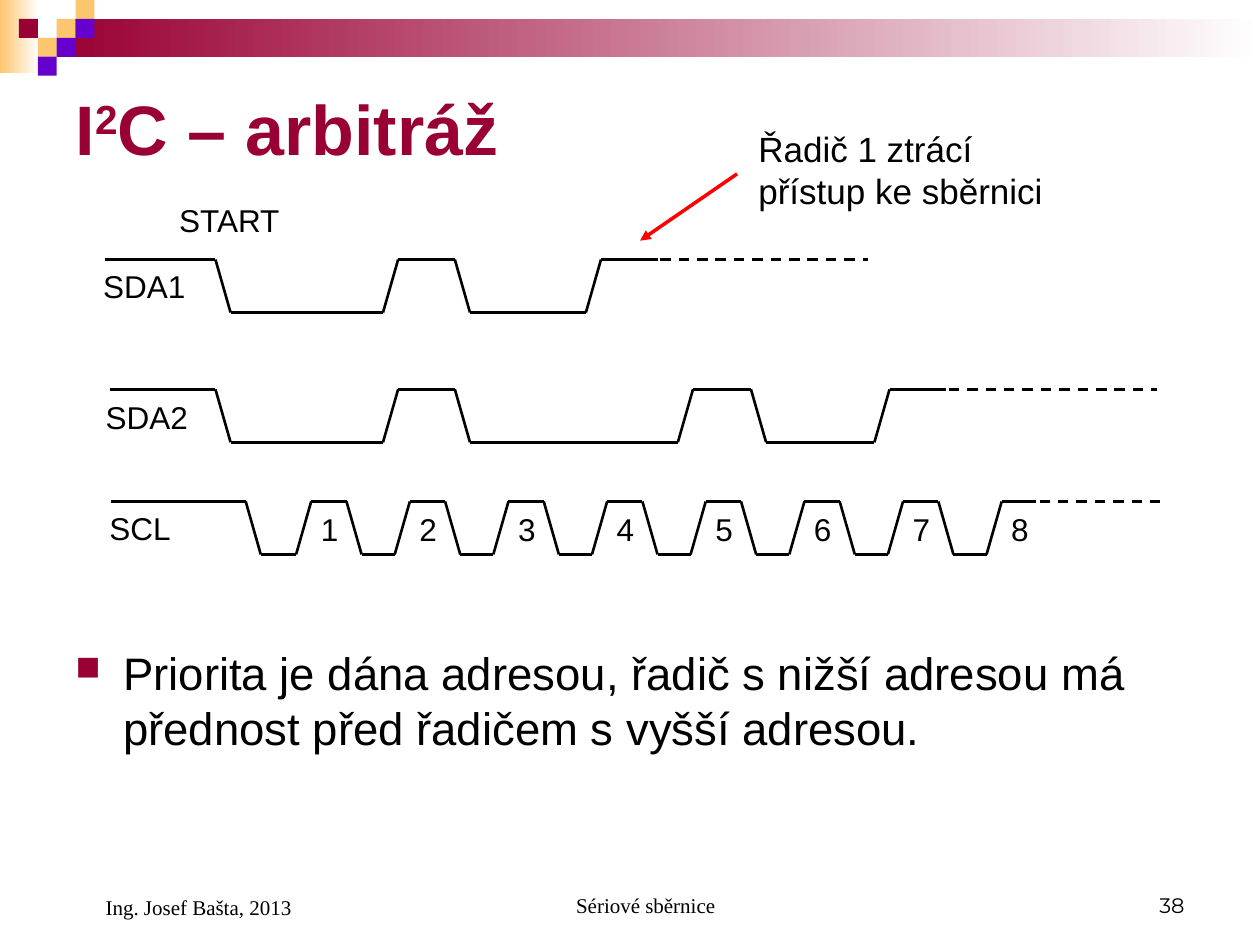
from itertools import pairwise

from lxml import etree
from pptx import Presentation
from pptx import util as u
from pptx.dml.color import RGBColor
from pptx.enum import dml, shapes, text
from pptx.oxml.ns import qn

BLACK = RGBColor(0x00, 0x00, 0x00)
WHITE = RGBColor(0xFF, 0xFF, 0xFF)
WINE = RGBColor(0x99, 0x00, 0x33)
SAND = RGBColor(0xFC, 0xC6, 0x6E)
VIOLET = RGBColor(0x66, 0x00, 0xCC)
RED = RGBColor(0xFF, 0x00, 0x00)

LEFT, CENTER, RIGHT = text.PP_ALIGN.LEFT, text.PP_ALIGN.CENTER, text.PP_ALIGN.RIGHT
TOP, MIDDLE, BOTTOM = (text.MSO_ANCHOR.TOP, text.MSO_ANCHOR.MIDDLE,
                       text.MSO_ANCHOR.BOTTOM)


class Deck:
    SLOPE = 0.12   # width of a signal edge
    SWING = 0.42   # height of a signal

    def __init__(self):
        self.prs = Presentation()
        self.prs.slide_width, self.prs.slide_height = u.Inches(10), u.Inches(7.5)
        self.s = self.prs.slides.add_slide(self.prs.slide_layouts[5])

    def font(self, item, size, color=BLACK, name="Arial", bold=False):
        style = {"size": u.Pt(size), "name": name, "bold": bold}
        for key, value in style.items():
            setattr(item.font, key, value)
        item.font.color.rgb = color

    def rect(self, x, y, w, h, color, fade=False):
        sp = self.s.shapes.add_shape(shapes.MSO_SHAPE.RECTANGLE,
                                     *map(u.Inches, (x, y, w, h)))
        sp.shadow.inherit = False
        sp.line.fill.background()
        if fade:
            sp.fill.gradient()
            sp.fill.gradient_angle = 0
            for stop, rgb in zip(sp.fill.gradient_stops, (color, WHITE)):
                stop.color.rgb = rgb
        else:
            sp.fill.solid()
            sp.fill.fore_color.rgb = color

    def title(self, x, y, w, h, runs):
        sp = self.s.shapes.title
        box = {"left": x, "top": y, "width": w, "height": h}
        for key, value in box.items():
            setattr(sp, key, u.Inches(value))
        sp.text_frame.vertical_anchor = MIDDLE
        p = sp.text_frame.paragraphs[0]
        p.alignment = LEFT
        for words, baseline in runs:
            r = p.add_run()
            r.text = words
            self.font(r, 40, WINE, bold=True)
            if baseline:
                r.font._element.set("baseline", str(baseline * 1000))

    def label(self, x, y, w, h, words, size=18, align=LEFT, anchor=TOP,
              name="Arial", margin=0.0):
        sp = self.s.shapes.add_textbox(*map(u.Inches, (x, y, w, h)))
        tf = sp.text_frame
        tf.word_wrap = True
        tf.vertical_anchor = anchor
        p = tf.paragraphs[0]
        p.text = words
        p.alignment = align
        if margin:
            p._p.get_or_add_pPr().set("marL", str(u.Inches(margin)))
        self.font(p.runs[0], size, name=name)
        for r in p.runs[1:]:
            self.font(r, size, name=name)
        return p

    def bullet(self, x, y, w, h, words):
        p = self.label(x, y, w, h, words, 26, margin=0.38)
        pPr = p._p.get_or_add_pPr()
        pPr.set("indent", str(u.Inches(-0.38)))
        color = etree.SubElement(pPr, qn("a:buClr"))
        etree.SubElement(color, qn("a:srgbClr"), val=str(WINE))
        etree.SubElement(pPr, qn("a:buSzPct"), val="75000")
        etree.SubElement(pPr, qn("a:buChar"), char="■")

    def line(self, start, end, color=BLACK, width=1.5, dashed=False, arrow=False):
        c = self.s.shapes.add_connector(shapes.MSO_CONNECTOR.STRAIGHT,
                                        *map(u.Inches, (*start, *end)))
        c.line.color.rgb = color
        c.line.width = u.Pt(width)
        if dashed:
            c.line.dash_style = dml.MSO_LINE.DASH
        if arrow:
            etree.SubElement(c.line._get_or_add_ln(), qn("a:tailEnd"), type="triangle")
        etree.SubElement(c._element.spPr, qn("a:effectLst"))

    def signal(self, y, start, edges, end, dash):
        """Draw a signal that starts high and changes level at each edge."""
        levels = (y, y + self.SWING)
        points = [(start, y)]
        for i, x in enumerate(edges):
            points += [(x, levels[i % 2]), (x + self.SLOPE, levels[(i + 1) % 2])]
        points.append((end, y))
        for a, b in pairwise(points):
            self.line(a, b)
        self.line((dash[0], y), (dash[1], y), dashed=True)


def main():
    d = Deck()

    # Header band and mosaic
    d.rect(0, 0, 0.31, 0.58, SAND, fade=True)
    d.rect(0.45, 0.15, 9.55, 0.3, WINE, fade=True)
    side = 0.15
    for col, row, color in ((3, 1, SAND), (4, 0, SAND), (4, 1, VIOLET), (2, 2, SAND),
                            (1, 1, WINE), (3, 2, VIOLET), (2, 3, VIOLET)):
        d.rect(col * side, row * side, side, side, color)

    # Title and body
    d.title(0.5, 0.5, 9, 1.03, (("I", 0), ("2", 30), ("C – arbitráž", 0)))
    d.bullet(0.5, 5.07, 9, 1.54, "Priorita je dána adresou, řadič s nižší adresou má "
             "přednost před řadičem s vyšší adresou.")

    # Data signals
    d.signal(2.06, 0.83, (1.71, 3.04, 3.61, 4.65), 5.22, (5.24, 6.89))
    d.signal(3.09, 0.87, (1.71, 3.04, 3.61, 5.38, 5.96, 6.94), 7.51, (7.53, 9.18))

    # Clock signal with numbered pulses
    pulses = 8
    pitch = 5.48 / (pulses - 1)
    edges = [1.95]
    for n in range(pulses):
        edges += [2.35 + n * pitch, 2.75 + n * pitch]
        d.label(2.44 + n * pitch, 4, 0.35, 0.4, str(n + 1), align=CENTER)
    d.signal(3.98, 0.88, edges[:-1], 8.22, (8.25, 9.23))

    # Signal names
    d.label(1.27, 1.55, 1.1, 0.4, "START", align=CENTER)
    d.label(0.72, 2.07, 0.87, 0.4, "SDA1")
    d.label(0.74, 3.11, 0.87, 0.4, "SDA2")
    d.label(0.77, 3.99, 0.82, 0.4, "SCL")

    # Lost arbitration callout
    d.label(5.92, 0.96, 2.8, 0.77, "Řadič 1 ztrácí\vpřístup ke sběrnici", 20)
    d.line((5.85, 1.38), (5.08, 1.91), RED, 2, arrow=True)

    # Footer
    serif = "Times New Roman"
    d.label(0.5, 6.83, 2.33, 0.52, "Ing. Josef Bašta, 2013", 12, LEFT, BOTTOM, serif, 0.24)
    d.label(3.42, 6.83, 3.17, 0.5, "Sériové sběrnice", 12, CENTER, BOTTOM, serif, 0.24)
    d.label(7.17, 6.83, 2.33, 0.5, "38", 12, RIGHT, BOTTOM, "Montserrat")

    d.prs.save("out.pptx")


if __name__ == "__main__":
    main()
